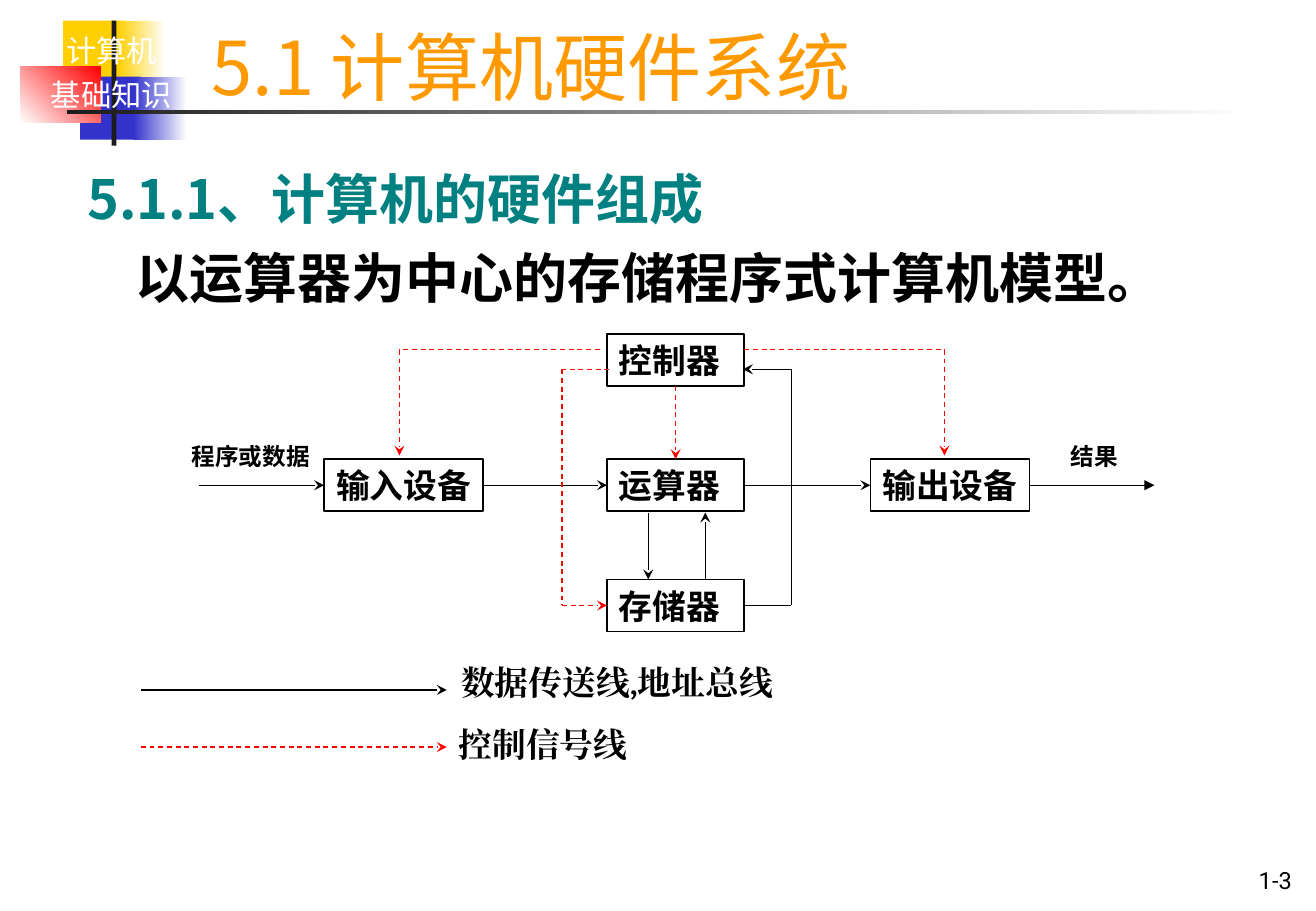
from lxml import etree
from pptx import Presentation
from pptx import util as u
from pptx.dml.color import RGBColor
from pptx.enum import dml, shapes, text
from pptx.oxml.ns import qn

CJK = "Noto Sans CJK SC"
BLACK, RED, WHITE = "000000", "FF0000", "FFFFFF"
TOP, LEFT, BOTTOM, RIGHT = range(4)
MIDDLE = text.MSO_ANCHOR.MIDDLE


def rgb(value):
    return RGBColor.from_string(value)


def place(sp, x, y, w, h):
    sp.left, sp.top, sp.width, sp.height = map(u.Inches, (x, y, w, h))


def write(tf, lines, size, font=CJK, color=BLACK, bold=False, align=None,
          anchor=MIDDLE, wrap=True):
    """Fill a text frame, with the font set for Latin and East Asian text."""
    tf.word_wrap = wrap
    tf.auto_size = text.MSO_AUTO_SIZE.NONE
    tf.vertical_anchor = anchor
    tf.text = "\n".join(lines)
    for p in tf.paragraphs:
        p.alignment = align or text.PP_ALIGN.LEFT
        p.font.size, p.font.name, p.font.bold = u.Pt(size), font, bold
        p.font.color.rgb = rgb(color)
        for r in p.runs:
            r.font.name = font
            latin = r._r.rPr.find(qn("a:latin"))
            ea = etree.Element(qn("a:ea"), typeface=font)
            latin.addnext(ea)
            r.font.size, r.font.bold = u.Pt(size), bold
            r.font.color.rgb = rgb(color)


def add_text(s, box, lines, size, **style):
    sp = s.shapes.add_textbox(*map(u.Inches, box))
    write(sp.text_frame, lines, size, **style)
    return sp.text_frame


def add_rect(s, x, y, w, h):
    sp = s.shapes.add_shape(shapes.MSO_SHAPE.RECTANGLE,
                            *map(u.Inches, (x, y, w, h)))
    sp.shadow.inherit = False
    return sp


def add_line(s, start, end, control=False, arrow=None, joins=()):
    """Data line, or dashed control line; joins holds (shape, side) or None."""
    ln = s.shapes.add_connector(shapes.MSO_CONNECTOR.STRAIGHT,
                                *map(u.Inches, (*start, *end)))
    for join, connect in zip(joins, (ln.begin_connect, ln.end_connect)):
        if join:
            connect(*join)
    ln.line.width = u.Pt(0.75)
    ln.line.color.rgb = rgb(RED if control else BLACK)
    if control:
        ln.line.dash_style = dml.MSO_LINE.DASH
    if arrow:
        etree.SubElement(ln.line._get_or_add_ln(), qn("a:tailEnd"), type=arrow)
    etree.SubElement(ln._element.spPr, qn("a:effectLst"))


def add_badge(s, x, y):
    blocks = [  # left, top, width, height, colours, gradient angle
        (0.35, 0, 0.52, 0.52, ["FFCF01"], 0),
        (0.8, 0, 0.39, 0.52, ["FFCF01", WHITE], 0),
        (0.49, 0.46, 0.5, 0.52, ["3333CC"], 0),
        (0.93, 0.46, 0.44, 0.52, ["3333CC", WHITE], 0),
        (0, 0.38, 0.66, 0.46, [WHITE, RED], 45),
        (0.75, 0, 0.04, 1.03, ["1C1C1C"], 0),
        (0.38, 0.74, 9.74, 0.03, ["1C1C1C", WHITE], 0),
    ]
    for dx, dy, w, h, colors, angle in blocks:
        sp = add_rect(s, x + dx, y + dy, w, h)
        sp.line.fill.background()
        if len(colors) == 1:
            sp.fill.solid()
            sp.fill.fore_color.rgb = rgb(colors[0])
        else:
            sp.fill.gradient()
            sp.fill.gradient_angle = angle
            for stop, color in zip(sp.fill.gradient_stops, colors):
                stop.color.rgb = rgb(color)
    tf = add_text(s, (x + 0.12, y + 0.04, 1.26, 0.77), ["计算机", "基础知识"], 18,
                  font="Roboto", color=WHITE, align=text.PP_ALIGN.CENTER)
    for p in tf.paragraphs:
        p.space_before = u.Pt(4.5)


def add_heading(s, x, y, w, h):
    title = s.shapes.title
    place(title, x, y, w, h)
    write(title.text_frame, ["5.1 计算机硬件系统"], 44, color="FF9900",
          anchor=text.MSO_ANCHOR.BOTTOM)
    title.text_frame.margin_bottom = 0


def add_body(s, x, y, w, h):
    tf = add_text(s, (x, y, w, h),
                  ["5.1.1、计算机的硬件组成", "以运算器为中心的存储程序式计算机模型。"],
                  32, bold=True, anchor=text.MSO_ANCHOR.TOP)
    tf.margin_top = 0
    section, model = tf.paragraphs
    section.runs[0].font.color.rgb = rgb("008080")
    model._p.get_or_add_pPr().set("marL", str(u.Inches(0.4)))
    for p in tf.paragraphs:
        p.line_spacing = u.Pt(47)


def add_model(s, x, y):
    box_h = 0.43
    flow_y, store_y = y + 1.03 + box_h / 2, y + 2.02 + box_h / 2

    def unit(name, dx, dy, w):
        sp = add_rect(s, x + dx, y + dy, w, box_h)
        sp.fill.background()
        sp.line.color.rgb, sp.line.width = rgb(BLACK), u.Pt(1)
        write(sp.text_frame, [name], 20, bold=True, wrap=False)
        return sp

    store = unit("存储器", 3.52, 2.02, 1.13)
    reader = unit("输入设备", 1.19, 1.03, 1.31)
    writer = unit("输出设备", 5.69, 1.03, 1.31)
    alu = unit("运算器", 3.52, 1.03, 1.13)
    control = unit("控制器", 3.52, 0, 1.13)
    for label, dx, w in (("程序或数据", 0, 1.17), ("结果", 7.24, 0.59)):
        add_text(s, (x + dx, y + 0.84, w, 0.33), [label], 14, bold=True, wrap=False)

    flows = [  # left end, joined shapes, arrowhead
        (0.16, (None, (reader, LEFT)), "stealth"),
        (2.52, ((reader, RIGHT), (alu, LEFT)), "stealth"),
        (4.65, ((alu, RIGHT), (writer, LEFT)), "stealth"),
        (7.01, ((writer, RIGHT), None), "triangle"),
    ]
    for dx, joins, arrow in flows:
        add_line(s, (x + dx, flow_y), (x + dx + 1.02, flow_y),
                 arrow=arrow, joins=joins)

    alu_y, store_top = y + 1.47, y + 2.02
    add_line(s, (x + 3.86, alu_y), (x + 3.86, store_top), arrow="stealth")
    add_line(s, (x + 4.33, store_top), (x + 4.33, alu_y), arrow="stealth")
    add_line(s, (x + 4.09, y + 0.45), (x + 4.09, y + 1), control=True,
             arrow="stealth", joins=((control, BOTTOM), (alu, TOP)))

    # Side buses between the controller and the store
    bus_y, data_x, control_x = y + 0.29, x + 5.04, x + 3.15
    add_line(s, (x + 4.65, store_y), (data_x, store_y), joins=((store, RIGHT),))
    add_line(s, (data_x, store_y), (data_x, bus_y))
    add_line(s, (data_x, bus_y), (x + 4.64, bus_y), arrow="stealth")
    add_line(s, (x + 3.54, bus_y), (control_x, bus_y), control=True)
    add_line(s, (control_x, bus_y), (control_x, store_y), control=True)
    add_line(s, (control_x, store_y), (x + 3.52, store_y), control=True,
             arrow="stealth", joins=(None, (store, LEFT)))

    # Control lines to the two devices
    for side_x, device_x in ((3.46, 1.81), (4.65, 6.3)):
        corner = (x + device_x, y + 0.13)
        add_line(s, (x + side_x, y + 0.13), corner, control=True)
        add_line(s, corner, (x + device_x, y + 1), control=True, arrow="stealth")


def add_legend(s, x, y):
    rows = [("数据传送线,地址总线", 2.54, 0, 0.28, False),
            ("控制信号线", 2.52, 0.51, 0.75, True)]
    for label, dx, dy, line_y, is_control in rows:
        add_text(s, (x + dx, y + dy, 3.5, 0.43), [label], 20,
                 font="Cambria", bold=True)
        add_line(s, (x, y + line_y), (x + 2.52, y + line_y),
                 control=is_control, arrow="stealth")


def main():
    prs = Presentation()
    prs.slide_width, prs.slide_height = u.Inches(10.84), u.Inches(7.5)
    s = prs.slides.add_slide(prs.slide_layouts[5])
    add_badge(s, 0.17, 0.17)
    add_text(s, (9.75, 7.08, 0.99, 0.33), ["1-3"], 14, font="Roboto",
             align=text.PP_ALIGN.RIGHT, anchor=text.MSO_ANCHOR.BOTTOM)
    add_heading(s, 1.64, 0.08, 8.22, 0.83)
    add_body(s, 0.62, 1.24, 9.59, 1.33)
    add_model(s, 1.48, 2.75)
    add_legend(s, 1.16, 5.4)
    prs.save("out.pptx")


if __name__ == "__main__":
    main()
